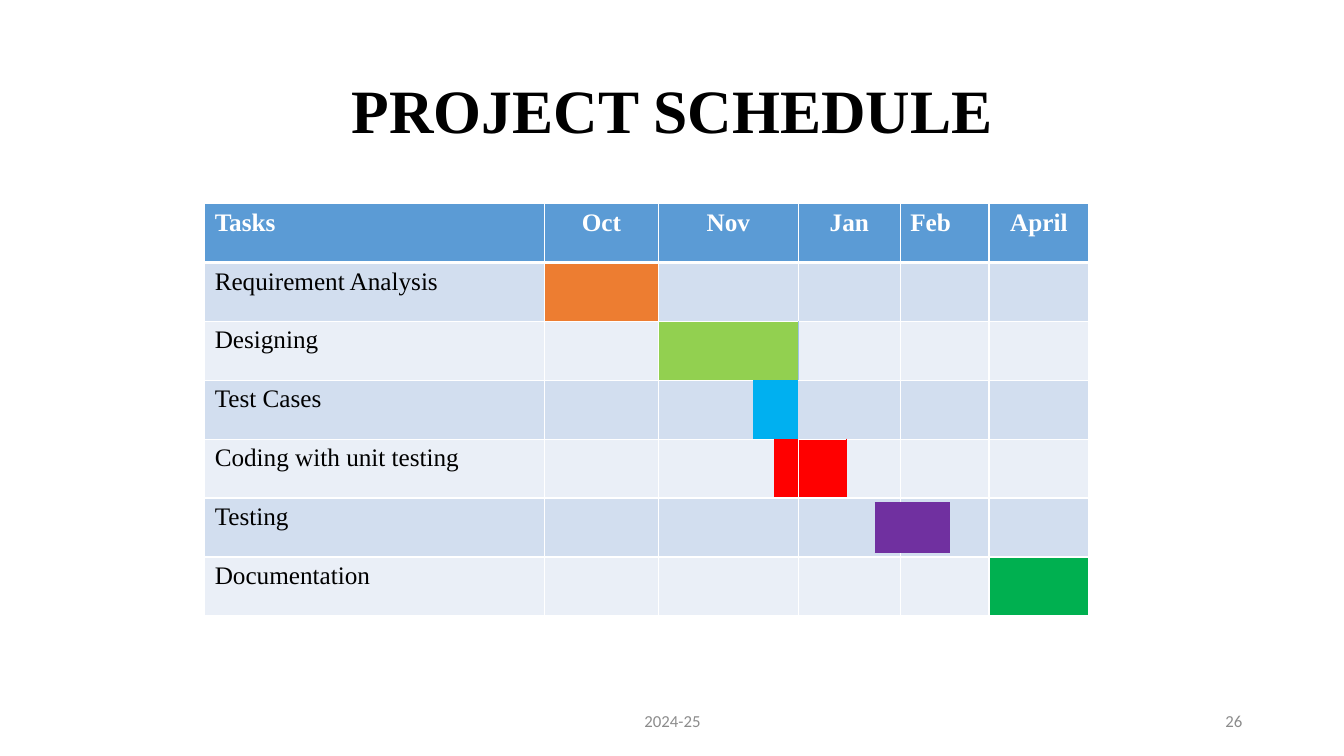
"""Build the project schedule slide with its month-by-month task chart."""
from dataclasses import dataclass, field
from typing import Optional

from lxml.etree import SubElement
from pptx import Presentation
from pptx.dml.color import RGBColor
from pptx.enum.text import MSO_ANCHOR as Anchor, PP_ALIGN as Align
from pptx.oxml.ns import qn
from pptx.util import Inches, Pt

WHITE = RGBColor(0xFF, 0xFF, 0xFF)
BLACK = RGBColor(0x00, 0x00, 0x00)
GREY = RGBColor(0x8C, 0x8C, 0x8C)
HEADER_BLUE = RGBColor(0x5B, 0x9B, 0xD5)
BANDS = (RGBColor(0xD2, 0xDE, 0xEF), RGBColor(0xEA, 0xEF, 0xF7))
ORANGE = RGBColor(0xED, 0x7D, 0x31)
LIME = RGBColor(0x92, 0xD0, 0x50)
PALE_BLUE = RGBColor(0x9D, 0xC3, 0xE6)
CYAN = RGBColor(0x00, 0xB0, 0xF0)
RED = RGBColor(0xFF, 0x00, 0x00)
PURPLE = RGBColor(0x70, 0x30, 0xA0)
GREEN = RGBColor(0x00, 0xB0, 0x50)

SERIF = "Times New Roman"
SANS = "Calibri"
COLUMN_WIDTHS = (3.37, 1.13, 0.94, 0.21, 0.24, 0.48, 0.53, 0.88, 0.99)
SIDES = "LRTB"


@dataclass
class Period:
    """A run of columns; edges maps a side to a colour, or None for no line."""
    first: int
    last: int
    fill: Optional[RGBColor] = None
    edges: dict = field(default_factory=dict)


@dataclass
class Task:
    """A task row with the periods that differ from the plain months."""
    name: str
    periods: list[Period] = field(default_factory=list)


@dataclass
class Month:
    """A month heading and the columns that it covers."""
    name: str
    first: int
    last: int
    align: Align = Align.CENTER


@dataclass
class FooterNote:
    """A small grey text at the foot of the slide."""
    text: str
    left: float
    width: float
    align: Align


MONTHS = (
    Month("Oct", 1, 1),
    Month("Nov", 2, 4),
    Month("Jan", 5, 6),
    Month("Feb", 7, 7, Align.LEFT),
    Month("April", 8, 8),
)
TASKS = (
    Task("Requirement Analysis", [Period(1, 1, ORANGE)]),
    Task("Designing", [Period(2, 4, LIME, {"R": PALE_BLUE}),
                       Period(5, 6, edges={"L": PALE_BLUE})]),
    Task("Test Cases", [Period(2, 2, edges={"R": None}),
                        Period(3, 4, CYAN, dict.fromkeys(SIDES)),
                        Period(5, 6, edges={"L": None})]),
    Task("Coding with unit testing", [Period(2, 3, edges={"R": RED}),
                                      Period(4, 4, RED, {"L": RED, "T": None}),
                                      Period(5, 5, RED, {"R": RED}),
                                      Period(6, 6, edges={"L": RED})]),
    Task("Testing"),
    Task("Documentation", [Period(8, 8, GREEN)]),
)
FOOTER_NOTES = (
    FooterNote("2024-25", 4.42, 4.5, Align.CENTER),
    FooterNote("26", 9.42, 3, Align.RIGHT),
)


def style_text(paragraph, font: str, size: float, color: RGBColor,
               bold: bool = False, align: Align = Align.LEFT) -> None:
    """Format a paragraph and its runs."""
    paragraph.alignment = align
    for run in paragraph.runs:
        run.font.name = font
        run.font.size = Pt(size)
        run.font.bold = bold
        run.font.color.rgb = color


def paint_cell(cell, fill: RGBColor, edges: dict, widths: dict) -> None:
    """Draw the four borders of a cell, then its fill."""
    properties = cell._tc.get_or_add_tcPr()
    for side in SIDES:
        color = edges.get(side, WHITE)
        width = Pt(widths.get(side, 1))
        line = SubElement(properties, qn(f"a:ln{side}"), w=str(width))
        if color is None:
            SubElement(line, qn("a:noFill"))
        else:
            solid = SubElement(line, qn("a:solidFill"))
            SubElement(solid, qn("a:srgbClr"), val=str(color))
    cell.fill.solid()
    cell.fill.fore_color.rgb = fill


def merge_period(table, row: int, first: int, last: int):
    """Return the cell for a run of columns, merged where needed."""
    cell = table.cell(row, first)
    if last > first:
        cell.merge(table.cell(row, last))
    return cell


def write_cell(cell, text: str, color: RGBColor, bold: bool, align: Align) -> None:
    """Put one line of table text in a cell."""
    cell.text_frame.text = text
    style_text(cell.text_frame.paragraphs[0], SERIF, 18, color, bold, align)


def add_header(table) -> None:
    """Fill the row of month headings."""
    for heading in (Month("Tasks", 0, 0, Align.LEFT), *MONTHS):
        cell = merge_period(table, 0, heading.first, heading.last)
        write_cell(cell, heading.name, WHITE, True, heading.align)
        paint_cell(cell, HEADER_BLUE, {}, {"B": 3})


def add_task(table, row: int, task: Task) -> None:
    """Fill one task row, using plain months where no period is given."""
    taken = {column for period in task.periods
             for column in range(period.first, period.last + 1)}
    plain = [Period(month.first, month.last) for month in MONTHS
             if month.first not in taken]
    widths = {"T": 3} if row == 1 else {}
    for period in (Period(0, 0), *task.periods, *plain):
        cell = merge_period(table, row, period.first, period.last)
        band = BANDS[(row - 1) % 2]
        paint_cell(cell, period.fill or band, period.edges, widths)
    write_cell(table.cell(row, 0), task.name, BLACK, False, Align.LEFT)


def add_schedule(slide) -> None:
    """Add the schedule table and the testing bar laid over it."""
    schedule = slide.shapes.add_table(
        len(TASKS) + 1, len(COLUMN_WIDTHS),
        Inches(2.03), Inches(2.02), Inches(8.77), Inches(4.09)).table
    for column, width in zip(schedule.columns, COLUMN_WIDTHS):
        column.width = Inches(width)
    add_header(schedule)
    for row, task in enumerate(TASKS, start=1):
        add_task(schedule, row, task)

    testing_bar = slide.shapes.add_table(
        1, 1, Inches(8.68), Inches(4.99), Inches(0.74), Inches(0.49)).table
    paint_cell(testing_bar.cell(0, 0), PURPLE, dict.fromkeys(SIDES, PURPLE), {})


def add_footer_note(slide, note: FooterNote) -> None:
    """Add one footer text."""
    frame = slide.shapes.add_textbox(Inches(note.left), Inches(6.95),
                                     Inches(note.width), Inches(0.4)).text_frame
    frame.word_wrap = True
    frame.vertical_anchor = Anchor.MIDDLE
    frame.text = note.text
    style_text(frame.paragraphs[0], SANS, 12, GREY, align=note.align)


def main() -> None:
    """Build and save the slide."""
    deck = Presentation()
    deck.slide_width, deck.slide_height = Inches(13.33), Inches(7.5)
    slide = deck.slides.add_slide(deck.slide_layouts[5])

    title = slide.shapes.title
    title.left, title.top = Inches(0.92), Inches(0.4)
    title.width, title.height = Inches(11.5), Inches(1.45)
    title.text_frame.text = "PROJECT SCHEDULE"
    title.text_frame.vertical_anchor = Anchor.MIDDLE
    heading = title.text_frame.paragraphs[0]
    heading.line_spacing = 0.9
    style_text(heading, SERIF, 44, BLACK, True, Align.CENTER)

    for note in FOOTER_NOTES:
        add_footer_note(slide, note)
    add_schedule(slide)
    deck.save("out.pptx")


if __name__ == "__main__":
    main()
